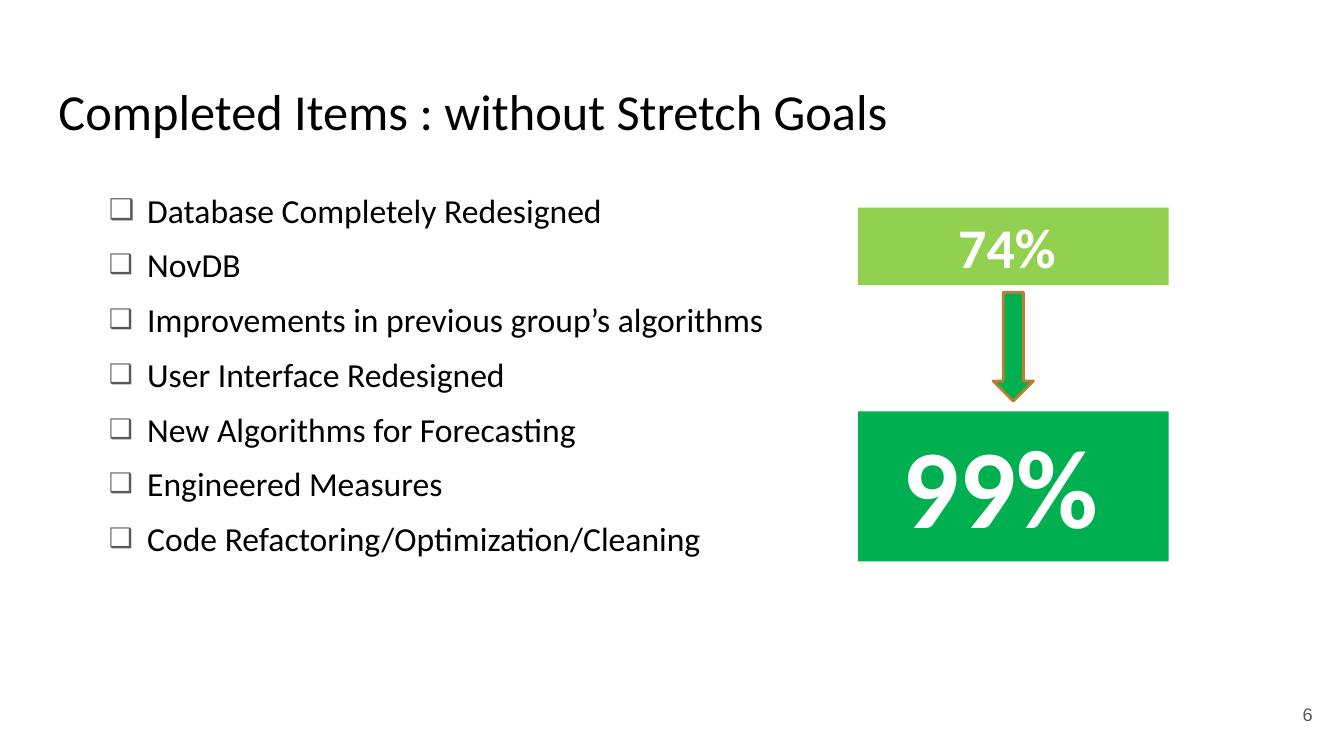
from lxml import etree
from pptx import Presentation, util as u
from pptx.dml.color import RGBColor
from pptx.enum import shapes, text
from pptx.oxml.ns import qn

WIDE, HIGH = 13.33, 7.5
BLACK = RGBColor(0, 0, 0)
WHITE = RGBColor(0xFF, 0xFF, 0xFF)
GRAY = RGBColor(0x59, 0x59, 0x59)
LIME = RGBColor(0x92, 0xD0, 0x50)
GREEN = RGBColor(0x00, 0xB0, 0x50)
BROWN = RGBColor(0xBD, 0x7F, 0x2F)
LEFT = 0.45
BAR_X, BAR_W = 8.51, 3.08
ARROW_W = 0.4
ITEMS = [
    "Database Completely Redesigned",
    "NovDB",
    "Improvements in previous group\u2019s algorithms",
    "User Interface Redesigned",
    "New Algorithms for Forecasting",
    "Engineered Measures",
    "Code Refactoring/Optimization/Cleaning",
]


def place(shape, x, y, w, h):
    shape.left, shape.top = u.Inches(x), u.Inches(y)
    shape.width, shape.height = u.Inches(w), u.Inches(h)


def frame(shape, anchor, side=0.13, end=0.13):
    tf = shape.text_frame
    tf.word_wrap = True
    tf.auto_size = text.MSO_AUTO_SIZE.NONE
    tf.vertical_anchor = anchor
    tf.margin_left = tf.margin_right = u.Inches(side)
    tf.margin_top = tf.margin_bottom = u.Inches(end)
    return tf


def write(para, words, size, color, align, font="Calibri", bold=False):
    para.alignment = align
    run = para.add_run()
    run.text = words
    run.font.name, run.font.size = font, u.Pt(size)
    run.font.bold = bold
    run.font.color.rgb = color


def bullet(para, share):
    para.level = 1
    para.line_spacing = 1.15
    para.space_before, para.space_after = u.Pt(6), u.Pt(0)
    props = para._p.get_or_add_pPr()
    props.set("marL", str(u.Inches(0.88)))
    props.set("indent", str(u.Inches(-0.38)))
    color = etree.SubElement(props, qn("a:buClr"))
    etree.SubElement(color, qn("a:srgbClr"), val=str(GRAY))
    etree.SubElement(props, qn("a:buSzPct"), val=str(share * 1000))
    etree.SubElement(props, qn("a:buFont"), typeface="Arial")
    etree.SubElement(props, qn("a:buChar"), char="\u2751")


def title(slide, words):
    head = slide.shapes.title
    place(head, LEFT, 0.66, 10.29, 0.83)
    tf = frame(head, text.MSO_ANCHOR.TOP)
    write(tf.paragraphs[0], words, 36, BLACK, text.PP_ALIGN.LEFT)


def tasks(slide, items):
    body = slide.placeholders[1]
    place(body, LEFT, 1.69, 7.66, 4.25)
    tf = frame(body, text.MSO_ANCHOR.TOP)
    for i, item in enumerate(items):
        para = tf.add_paragraph() if i else tf.paragraphs[0]
        bullet(para, 80 if i else 85)
        write(para, item, 24, BLACK, text.PP_ALIGN.LEFT)


def solid(slide, kind, x, y, w, h, fill):
    shape = slide.shapes.add_shape(kind, *map(u.Inches, (x, y, w, h)))
    shape.shadow.inherit = False
    shape.fill.solid()
    shape.fill.fore_color.rgb = fill
    shape.line.fill.background()
    return shape


def score(slide, y, h, fill, words, size):
    box = solid(slide, shapes.MSO_SHAPE.RECTANGLE, BAR_X, y, BAR_W, h, fill)
    tf = frame(box, text.MSO_ANCHOR.TOP, 0.1, 0.05)
    write(tf.paragraphs[0], words, size, WHITE, text.PP_ALIGN.CENTER, bold=True)


def arrow(slide, y, h):
    x = BAR_X + (BAR_W - ARROW_W) / 2
    shape = solid(slide, shapes.MSO_SHAPE.DOWN_ARROW, x, y, ARROW_W, h, GREEN)
    shape.line.color.rgb = BROWN
    shape.line.width = u.Pt(2)


def number(slide, words):
    box = slide.shapes.add_textbox(*map(u.Inches, (12.35, 6.8, 0.8, 0.57)))
    tf = frame(box, text.MSO_ANCHOR.MIDDLE)
    write(tf.paragraphs[0], words, 13, GRAY, text.PP_ALIGN.RIGHT, font="Arial")


def main():
    deck = Presentation()
    deck.slide_width, deck.slide_height = u.Inches(WIDE), u.Inches(HIGH)
    slide = deck.slides.add_slide(deck.slide_layouts[1])
    title(slide, "Completed Items : without Stretch Goals ")
    tasks(slide, ITEMS)
    number(slide, "6")
    score(slide, 4.08, 1.49, GREEN, "99% ", 80)
    score(slide, 2.06, 0.77, LIME, "74% ", 40)
    arrow(slide, 2.9, 1.08)
    deck.save("out.pptx")


main()
